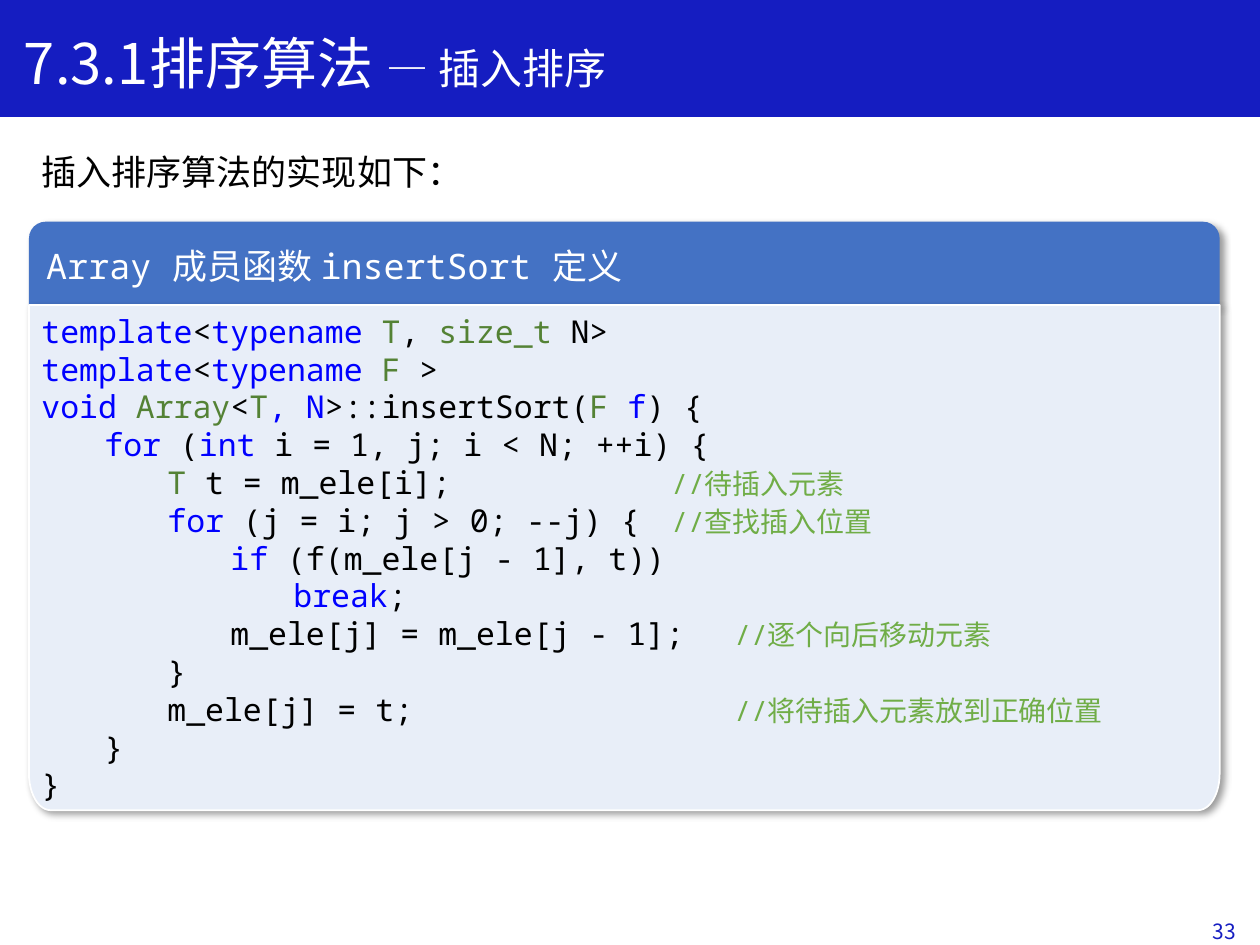
import math

import pptx
import pptx.dml.color
import pptx.enum.shapes
import pptx.enum.text
import pptx.oxml
import pptx.oxml.ns
import pptx.util
from lxml import etree

Inches = pptx.util.Inches
Pt = pptx.util.Pt
ALIGN = pptx.enum.text.PP_ALIGN
PRESET = pptx.enum.shapes.MSO_SHAPE
SANS = "Noto Sans CJK SC"
MONO = "Noto Sans Mono"
NAVY = "151DC1"
WHITE = "FFFFFF"
BLACK = "000000"
KEYWORD = "0000FF"
TYPE = "548235"
COMMENT = "70AD47"
TAB = 0.5

CODE = [
    (0, [("template", KEYWORD), ("<", BLACK), ("typename ", KEYWORD), ("T", TYPE),
         (", ", BLACK), ("size_t ", TYPE), ("N>", BLACK)]),
    (0, [("template", KEYWORD), ("<", BLACK), ("typename ", KEYWORD), ("F ", TYPE), (">", BLACK)]),
    (0, [("void ", KEYWORD), ("Array", TYPE), ("<", BLACK), ("T", TYPE), (", N", KEYWORD),
         (">::insertSort(", BLACK), ("F", TYPE), (" f", KEYWORD), (") {", BLACK)]),
    (1, [("for ", KEYWORD), ("(", BLACK), ("int ", KEYWORD), ("i = 1, j; i < N; ++i) {", BLACK)]),
    (2, [("T ", TYPE), ("t = m_ele[i];", BLACK)], 5, "//待插入元素"),
    (2, [("for ", KEYWORD), ("(j = i; j > 0; --j) {", BLACK)], 5, "//查找插入位置"),
    (3, [("if", KEYWORD), (" (f(m_ele[j - 1], t))", BLACK)]),
    (4, [("break", KEYWORD), (";", BLACK)]),
    (3, [("m_ele[j] = m_ele[j - 1];", BLACK)], 5.5, "//逐个向后移动元素"),
    (2, [("}", BLACK)]),
    (2, [("m_ele[j] = t;", BLACK)], 5.5, "//将待插入元素放到正确位置"),
    (1, [("}", BLACK)]),
    (0, [("}", BLACK)]),
]


def rgb(color):
    return pptx.dml.color.RGBColor.from_string(color)


def add_text(paragraph, text, size=18, color=BLACK, font=SANS):
    run = paragraph.add_run()
    run.text = text
    run.font.size = Pt(size)
    run.font.name = font
    run.font.color.rgb = rgb(color)
    east_asian = etree.SubElement(run.font._element, pptx.oxml.ns.qn("a:ea"))
    east_asian.set("typeface", SANS)


def set_tabs(paragraph, stops):
    tabs = etree.SubElement(paragraph._p.get_or_add_pPr(), pptx.oxml.ns.qn("a:tabLst"))
    for stop in stops:
        etree.SubElement(tabs, pptx.oxml.ns.qn("a:tab"), pos=str(Inches(stop)), algn="l")


class Deck:
    def __init__(self):
        self.presentation = pptx.Presentation()
        self.presentation.slide_width = Inches(10)
        self.presentation.slide_height = Inches(7.5)
        self.slide = self.presentation.slides.add_slide(self.presentation.slide_layouts[1])

    def frame(self, shape, align=ALIGN.LEFT):
        text_frame = shape.text_frame
        text_frame.word_wrap = True
        text_frame.auto_size = pptx.enum.text.MSO_AUTO_SIZE.NONE
        text_frame.vertical_anchor = pptx.enum.text.MSO_ANCHOR.MIDDLE
        text_frame.paragraphs[0].alignment = align
        return text_frame

    def placeholder(self, index, left, top, width, height):
        shape = self.slide.placeholders[index]
        shape.left, shape.top = Inches(left), Inches(top)
        shape.width, shape.height = Inches(width), Inches(height)
        paragraph = self.frame(shape).paragraphs[0]
        paragraph.space_before = Pt(0)
        properties = paragraph._p.get_or_add_pPr()
        properties.set("marL", "0")
        properties.set("indent", "0")
        etree.SubElement(properties, pptx.oxml.ns.qn("a:buNone"))
        return paragraph

    def paint(self, shape, fill, line=None):
        shape.shadow.inherit = False
        shape.fill.solid()
        shape.fill.fore_color.rgb = rgb(fill)
        if line:
            shape.line.color.rgb = rgb(line)
            shape.line.width = Pt(1)
        else:
            shape.line.fill.background()

    def cast_shadow(self, shape):
        effects = shape._element.spPr.find(pptx.oxml.ns.qn("a:effectLst"))
        effects.append(pptx.oxml.parse_xml(
            f'<a:outerShdw {pptx.oxml.ns.nsdecls("a")} blurRad="{Pt(4)}" dist="{Pt(3)}" '
            f'dir="2700000" algn="tl" rotWithShape="0"><a:srgbClr val="{BLACK}">'
            '<a:alpha val="40000"/></a:srgbClr></a:outerShdw>'))

    def block(self, preset, left, top, width, height, fill, line=None):
        shape = self.slide.shapes.add_shape(
            preset, Inches(left), Inches(top), Inches(width), Inches(height))
        self.paint(shape, fill, line)
        return shape

    def outline(self, points, fill, line):
        corners = [(Inches(x), Inches(y)) for x, y in points]
        builder = self.slide.shapes.build_freeform(*corners[0])
        builder.add_line_segments(corners[1:], close=True)
        shape = builder.convert_to_shape()
        self.paint(shape, fill, line)
        return shape

    def label(self, left, top, width, height, align):
        box = self.slide.shapes.add_textbox(
            Inches(left), Inches(top), Inches(width), Inches(height))
        return self.frame(box, align).paragraphs[0]

    def send_to_back(self, shape):
        self.slide.shapes._spTree.insert(2, shape._element)


def rounded_bottom(left, top, right, bottom, radius_x, radius_y, steps=12):
    angles = [math.pi / 2 * step / steps for step in range(steps + 1)]
    across = [(radius_x * (1 - math.cos(a)), radius_y * (1 - math.sin(a))) for a in angles]
    right_corner = [(right - x, bottom - y) for x, y in across]
    left_corner = [(left + x, bottom - y) for x, y in reversed(across)]
    return [(left, top), (right, top)] + right_corner + left_corner


def write_code(text_frame):
    for number, (level, tokens, *remark) in enumerate(CODE):
        paragraph = text_frame.paragraphs[0] if number == 0 else text_frame.add_paragraph()
        paragraph.alignment = ALIGN.LEFT
        paragraph.line_spacing = Pt(21.6)
        set_tabs(paragraph, [TAB * (step + 1) for step in range(level)] + remark[:1])
        if level:
            add_text(paragraph, "\t" * level, font=MONO)
        for text, color in tokens:
            add_text(paragraph, text, color=color, font=MONO)
        if remark:
            add_text(paragraph, "\t" + remark[1], size=16, color=COMMENT, font=MONO)


def main():
    deck = Deck()
    deck.send_to_back(deck.block(PRESET.RECTANGLE, 0, 0, 10, 0.92, NAVY, NAVY))

    heading = deck.placeholder(0, 0.09, 0.17, 9.31, 0.64)
    set_tabs(heading, [1.3])
    add_text(heading, "7.3.1\t排序算法 ", size=32, color=WHITE)
    add_text(heading, "— 插入排序", size=24, color=WHITE)

    introduction = deck.placeholder(1, 0.23, 1.14, 9.56, 0.44)
    add_text(introduction, "插入排序算法的实现如下：", size=20)

    code_header = deck.block(PRESET.ROUND_2_SAME_RECTANGLE, 0.23, 1.76, 9.45, 0.66, "4472C4")
    code_header.adjustments[0] = 0.2
    deck.cast_shadow(code_header)
    add_text(deck.frame(code_header).paragraphs[0], "Array 成员函数 insertSort 定义",
             size=20, color=WHITE, font=MONO)

    code_panel = deck.outline(
        rounded_bottom(0.23, 2.42, 9.68, 6.43, 0.17, 0.29), "E8EEF8", WHITE)
    deck.cast_shadow(code_panel)
    write_code(deck.frame(code_panel))

    page_number = deck.label(7.66, 7.19, 2.25, 0.4, ALIGN.RIGHT)
    add_text(page_number, "33", size=12, color=NAVY)

    deck.presentation.save("out.pptx")


if __name__ == "__main__":
    main()
